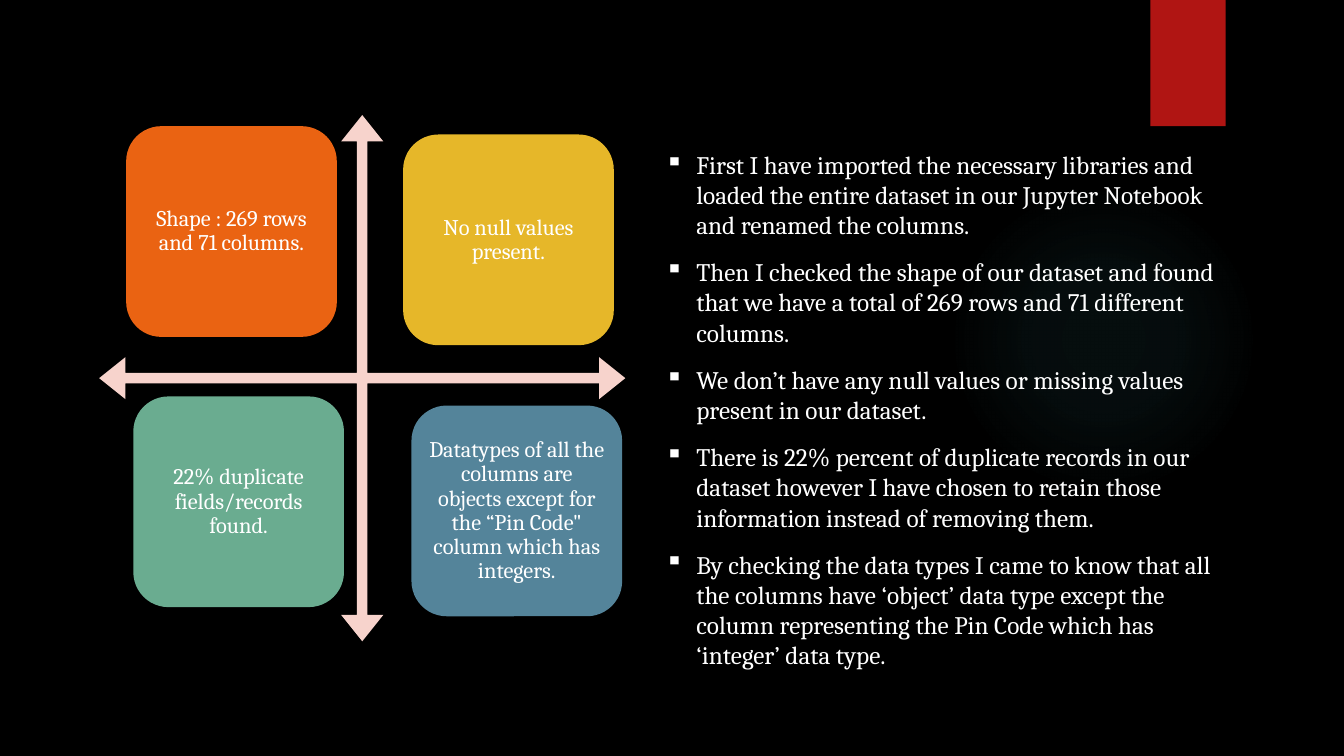
from pptx import Presentation
from pptx.dml.color import RGBColor
from pptx.enum.shapes import MSO_SHAPE
from pptx.enum.text import MSO_ANCHOR, PP_ALIGN
from pptx.oxml import parse_xml
from pptx.oxml.ns import nsdecls
from pptx.util import Cm, Pt

OVAL, RECT = MSO_SHAPE.OVAL, MSO_SHAPE.RECTANGLE
ROUNDED, QUAD_ARROW = MSO_SHAPE.ROUNDED_RECTANGLE, MSO_SHAPE.QUAD_ARROW
MIDDLE, CENTER, LEFT = MSO_ANCHOR.MIDDLE, PP_ALIGN.CENTER, PP_ALIGN.LEFT

BLACK = RGBColor(0x00, 0x00, 0x00)
WHITE = RGBColor(0xFF, 0xFF, 0xFF)
RED = RGBColor(0xB0, 0x15, 0x13)
PINK = RGBColor(0xF7, 0xD3, 0xCC)
ORANGE = RGBColor(0xEA, 0x63, 0x12)
YELLOW = RGBColor(0xE6, 0xB7, 0x29)
GREEN = RGBColor(0x6A, 0xAC, 0x90)
BLUE = RGBColor(0x54, 0x84, 0x9A)
TEAL = RGBColor(0x50, 0xB9, 0xC1)

prs = Presentation()
prs.slide_width, prs.slide_height = Cm(33.87), Cm(19.05)
slide = prs.slides.add_slide(prs.slide_layouts[6])
slide.background.fill.solid()
slide.background.fill.fore_color.rgb = BLACK


def add_block(kind, left, top, width, height, color=None):
    block = slide.shapes.add_shape(kind, Cm(left), Cm(top), Cm(width), Cm(height))
    block.shadow.inherit = False
    block.line.fill.background()
    if color is not None:
        block.fill.solid()
        block.fill.fore_color.rgb = color
    return block


def write(paragraph, text, size, align=LEFT, spacing=1.0, before=0, after=0, bullet=None):
    paragraph.alignment = align
    paragraph.line_spacing = spacing
    paragraph.space_before, paragraph.space_after = Pt(before), Pt(after)
    if bullet:
        properties = paragraph._p.get_or_add_pPr()
        properties.set("marL", str(Cm(0.79)))
        properties.set("indent", str(-Cm(0.79)))
        properties.append(parse_xml(f'<a:buChar {nsdecls("a")} char="{bullet}"/>'))
    paragraph.font.size = Pt(size)
    paragraph.font.name = "Cambria"
    paragraph.font.color.rgb = WHITE
    paragraph.add_run().text = text


glow = add_block(OVAL, 23.9, 4.65, 7.82, 7.82)
stops = "".join(
    f'<a:gs pos="{position * 1000}"><a:srgbClr val="{TEAL}">'
    f'<a:alpha val="{opacity * 1000}"/></a:srgbClr></a:gs>'
    for position, opacity in [(0, 7), (36, 6), (69, 0)]
)
glow._element.spPr.insert(2, parse_xml(
    f'<a:gradFill {nsdecls("a")}><a:gsLst>{stops}</a:gsLst><a:path path="circle">'
    '<a:fillToRect l="50000" t="50000" r="50000" b="50000"/></a:path></a:gradFill>'
))

add_block(RECT, 28.99, 0, 1.9, 3.18, RED)

axes = add_block(QUAD_ARROW, 2.5, 2.9, 13.26, 13.26, PINK)
for index, ratio in enumerate([0.02, 0.04, 0.05]):
    axes.adjustments[index] = ratio

findings = [
    (3.18, 3.18, ORANGE, "Shape : 269 rows and 71 columns."),
    (10.16, 3.39, YELLOW, "No null values present."),
    (3.36, 9.99, GREEN, "22% duplicate fields/records found."),
    (10.37, 10.22, BLUE, "Datatypes of all the columns are objects except for "
                         "the “Pin Code\" column which has integers."),
]
for left, top, color, text in findings:
    frame = add_block(ROUNDED, left, top, 5.31, 5.31, color).text_frame
    frame.word_wrap = True
    frame.vertical_anchor = MIDDLE
    frame.margin_left = frame.margin_right = Cm(0.17)
    frame.margin_top = frame.margin_bottom = Cm(0.17)
    write(frame.paragraphs[0], text, size=16, align=CENTER, spacing=0.9)

steps = [
    "First I have imported the necessary libraries and loaded the entire dataset "
    "in our Jupyter Notebook and renamed the columns.",
    "Then I checked the shape of our dataset and found that we have a total of "
    "269 rows and 71 different columns.",
    "We don’t have any null values or missing values present in our dataset.",
    "There is 22% percent of duplicate records in our dataset however I have "
    "chosen to retain those information instead of removing them.",
    "By checking the data types I came to know that all the columns have ‘object’ "
    "data type except the column representing the Pin Code which has ‘integer’ data type.",
]
notes = slide.shapes.add_textbox(Cm(16.51), Cm(3.63), Cm(14.6), Cm(13.51)).text_frame
notes.word_wrap = True
for index, step in enumerate(steps):
    paragraph = notes.add_paragraph() if index else notes.paragraphs[0]
    write(paragraph, step, size=18, before=6 if index else 0, after=6, bullet="▪")

prs.save("out.pptx")
